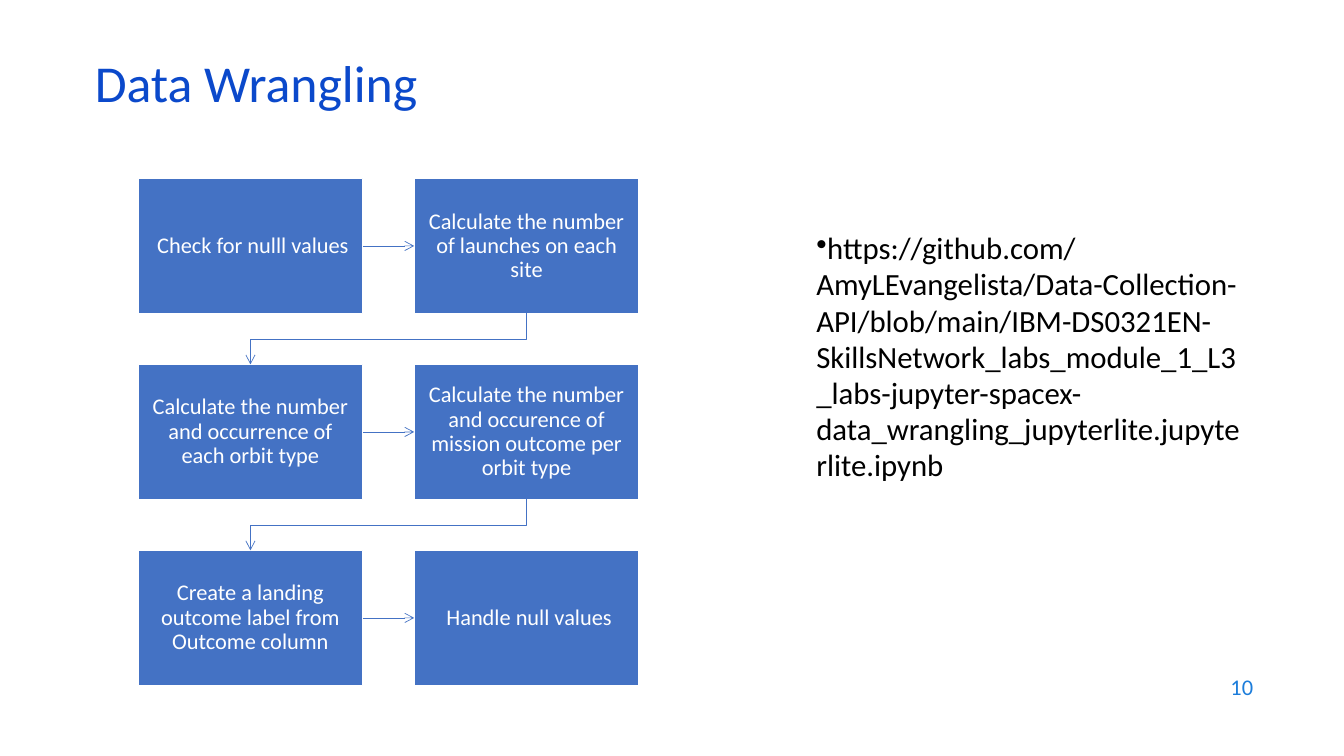
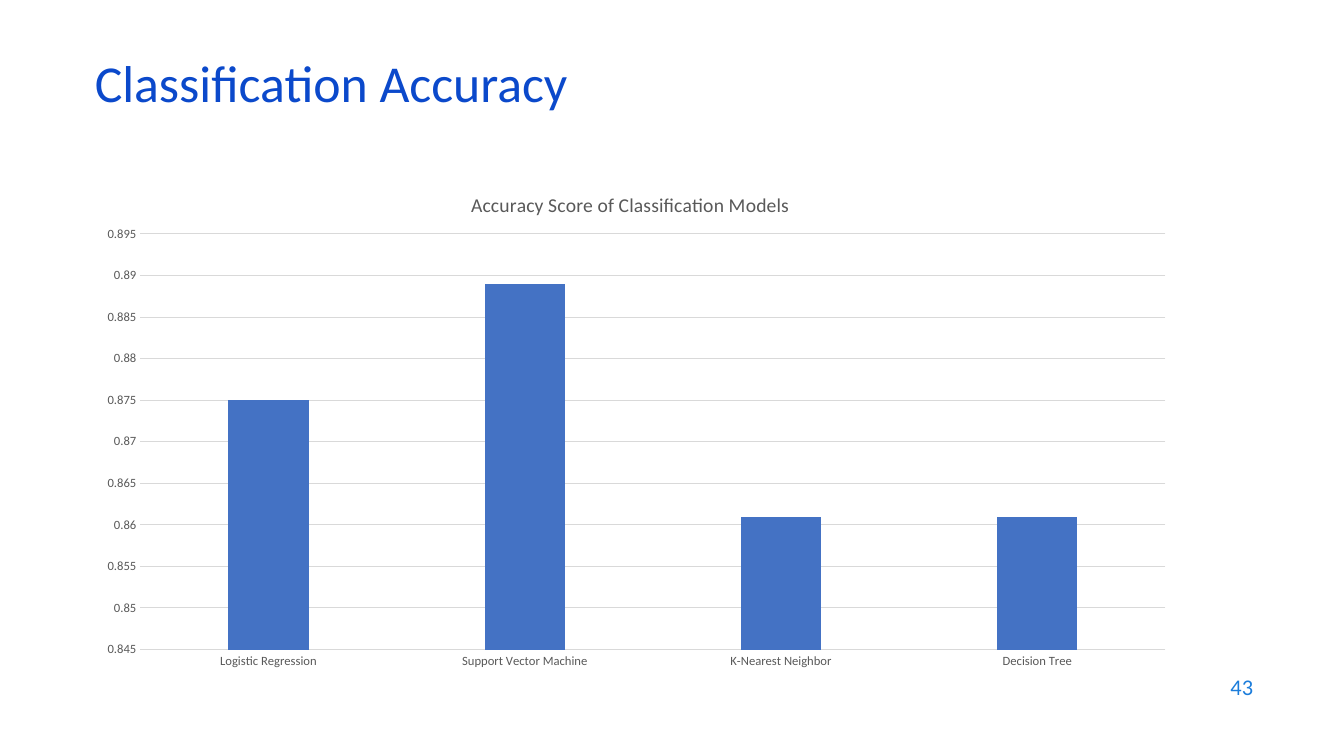
"""Build two slides: a data wrangling flow and a chart of classification accuracy."""
from dataclasses import dataclass
from itertools import pairwise

from lxml import etree
from pptx import Presentation
from pptx import util as u
from pptx.chart.data import CategoryChartData
from pptx.dml.color import RGBColor
from pptx.enum import chart as ch, shapes, text
from pptx.oxml.ns import qn

FONT = "Calibri"
COLORS = {
    "title": "0B49CB",
    "number": "1C7DDB",
    "accent": "4472C4",
    "white": "FFFFFF",
    "black": "000000",
    "label": "595959",
    "grid": "D9D9D9",
}
WIDTH, HEIGHT = u.Inches(13.33), u.Inches(7.5)
COLUMN, ROW = WIDTH / 100, HEIGHT / 100


@dataclass(frozen=True)
class Area:
    column: float
    row: float
    columns: float
    rows: float

    def box(self) -> tuple:
        return (
            u.Emu(round(self.column * COLUMN)),
            u.Emu(round(self.row * ROW)),
            u.Emu(round(self.columns * COLUMN)),
            u.Emu(round(self.rows * ROW)),
        )


@dataclass(frozen=True)
class Style:
    size: float
    color: str
    align: text.PP_ALIGN = text.PP_ALIGN.LEFT
    anchor: text.MSO_ANCHOR = text.MSO_ANCHOR.MIDDLE
    spacing: float = 1.0
    bullet: str = ""


TITLE_AREA = Area(6.3, 7.87, 86.25, 8)
NUMBER_AREA = Area(71.48, 87.87, 22.5, 5.87)
LINK_AREA = Area(60, 29.87, 33.08, 40)
CHART_AREA = Area(6.38, 22.13, 81.15, 67.87)
FIRST_STEP = Area(10.27, 23.6, 16.73, 17.87)
STEP_COLUMNS, STEP_ROWS = 20.55, 24.6
STEPS_ACROSS = 2

TITLE = Style(37, "title", spacing=0.7)
NUMBER = Style(16, "number", text.PP_ALIGN.RIGHT)
LINK = Style(22, "black", anchor=text.MSO_ANCHOR.TOP, spacing=0.98, bullet="•")
STEP = Style(16, "white", text.PP_ALIGN.CENTER, spacing=0.9)

STEPS = (
    " Check for nulll values",
    "Calculate the number of launches on each site",
    "Calculate the number and occurrence of each orbit type",
    "Calculate the number and occurence of mission outcome per orbit type",
    "Create a landing outcome label from Outcome column",
    " Handle null values",
)
NOTEBOOK_LINK = (
    "https://github.com/AmyLEvangelista/Data-Collection-API/blob/main/"
    "IBM-DS0321EN-SkillsNetwork_labs_module_1_L3_labs-jupyter-spacex-"
    "data_wrangling_jupyterlite.jupyterlite.ipynb"
)
ACCURACY = {
    "Logistic Regression": 0.875,
    "Support Vector Machine": 0.889,
    "K-Nearest Neighbor": 0.861,
    "Decision Tree": 0.861,
}


def rgb(name: str) -> RGBColor:
    return RGBColor.from_string(COLORS[name])


def set_font(font, size: float, color: str) -> None:
    font.name, font.size, font.bold = FONT, u.Pt(size), False
    font.color.rgb = rgb(color)


def set_line(line, color: str, points: float) -> None:
    line.color.rgb = rgb(color)
    line.width = u.Pt(points)


def write(frame, words: str, style: Style) -> None:
    frame.word_wrap = True
    frame.auto_size = text.MSO_AUTO_SIZE.NONE
    frame.vertical_anchor = style.anchor
    paragraph = frame.paragraphs[0]
    paragraph.alignment = style.align
    paragraph.line_spacing = style.spacing
    paragraph.space_before = u.Pt(0)
    if style.bullet:
        properties = paragraph._p.get_or_add_pPr()
        properties.set("marL", "0")
        properties.set("indent", "0")
        etree.SubElement(properties, qn("a:buChar"), char=style.bullet)
    run = paragraph.add_run()
    run.text = words
    set_font(run.font, style.size, style.color)


def add_text(slide, area: Area, words: str, style: Style) -> None:
    write(slide.shapes.add_textbox(*area.box()).text_frame, words, style)


def add_titled_slide(deck, heading: str, number: int):
    slide = deck.slides.add_slide(deck.slide_layouts[5])
    title = slide.shapes.title
    title.left, title.top, title.width, title.height = TITLE_AREA.box()
    write(title.text_frame, heading, TITLE)
    add_text(slide, NUMBER_AREA, str(number), NUMBER)
    return slide


def add_step(slide, index: int, words: str):
    row, column = divmod(index, STEPS_ACROSS)
    area = Area(
        FIRST_STEP.column + column * STEP_COLUMNS,
        FIRST_STEP.row + row * STEP_ROWS,
        FIRST_STEP.columns,
        FIRST_STEP.rows,
    )
    step = slide.shapes.add_shape(shapes.MSO_SHAPE.RECTANGLE, *area.box())
    step.shadow.inherit = False
    step.fill.solid()
    step.fill.fore_color.rgb = rgb("accent")
    set_line(step.line, "white", 1)
    frame = step.text_frame
    frame.margin_left = frame.margin_right = u.Inches(0.12)
    frame.margin_top = frame.margin_bottom = u.Inches(0.12)
    write(frame, words, STEP)
    return step


def add_arrow(slide, source, target) -> None:
    same_row = source.top == target.top
    kind = shapes.MSO_CONNECTOR.STRAIGHT if same_row else shapes.MSO_CONNECTOR.ELBOW
    arrow = slide.shapes.add_connector(kind, 0, 0, 0, 0)
    arrow.begin_connect(source, 3 if same_row else 2)
    arrow.end_connect(target, 1 if same_row else 0)
    if not same_row:
        across, down = arrow.width, arrow.height
        middle_x, middle_y = arrow.left + across // 2, arrow.top + down // 2
        arrow.left, arrow.top = middle_x - down // 2, middle_y - across // 2
        arrow.width, arrow.height = down, across
        turn = arrow._element.spPr.find(qn("a:xfrm"))
        turn.attrib.pop("flipH", None)
        turn.set("rot", "5400000")
    set_line(arrow.line, "accent", 0.5)
    etree.SubElement(arrow.line._get_or_add_ln(), qn("a:tailEnd"), type="arrow")
    etree.SubElement(arrow._element.spPr, qn("a:effectLst"))


def place(part, index: int, **shares: float) -> None:
    """Fix a chart part at the given shares of the chart's size."""
    for old in part.findall(qn("c:layout")):
        part.remove(old)
    layout = etree.Element(qn("c:layout"))
    manual = etree.SubElement(layout, qn("c:manualLayout"))
    if "w" in shares:
        etree.SubElement(manual, qn("c:layoutTarget"), val="inner")
    for mode in ("xMode", "yMode"):
        etree.SubElement(manual, qn(f"c:{mode}"), val="edge")
    for side, share in shares.items():
        etree.SubElement(manual, qn(f"c:{side}"), val=str(share))
    part.insert(index, layout)


def add_accuracy_chart(slide) -> None:
    data = CategoryChartData()
    data.categories = list(ACCURACY)
    data.add_series("Series 1", list(ACCURACY.values()))
    chart = slide.shapes.add_chart(
        ch.XL_CHART_TYPE.COLUMN_CLUSTERED, *CHART_AREA.box(), data
    ).chart
    set_font(chart.font, 10, "black")
    chart.has_legend = False

    heading = chart.chart_title.text_frame.paragraphs[0].add_run()
    heading.text = "Accuracy Score of Classification Models"
    set_font(heading.font, 14, "label")
    place(chart.chart_title._element, 1, x=0.35, y=0.04)
    place(chart._chartSpace.chart.plotArea, 0, x=0.05, y=0.13, w=0.94, h=0.81)

    for axis in (chart.category_axis, chart.value_axis):
        axis.major_tick_mark = axis.minor_tick_mark = ch.XL_TICK_MARK.NONE
        set_font(axis.tick_labels.font, 9, "label")
    set_line(chart.category_axis.format.line, "grid", 0.75)
    scores = chart.value_axis
    scores.minimum_scale, scores.maximum_scale = 0.845, 0.895
    scores.major_unit = 0.005
    scores.tick_labels.number_format = "General"
    scores.tick_labels.number_format_is_linked = False
    scores.format.line.fill.background()
    set_line(scores.major_gridlines.format.line, "grid", 0.75)

    plot = chart.plots[0]
    plot.vary_by_categories = False
    plot.gap_width, plot.overlap = 219, -27
    bars = plot.series[0].format.fill
    bars.solid()
    bars.fore_color.rgb = rgb("accent")


def main() -> None:
    deck = Presentation()
    deck.slide_width, deck.slide_height = WIDTH, HEIGHT

    wrangling = add_titled_slide(deck, "Data Wrangling", 10)
    add_text(wrangling, LINK_AREA, NOTEBOOK_LINK, LINK)
    steps = [add_step(wrangling, index, words) for index, words in enumerate(STEPS)]
    for source, target in pairwise(steps):
        add_arrow(wrangling, source, target)

    add_accuracy_chart(add_titled_slide(deck, "Classification Accuracy", 43))
    deck.save("out.pptx")


if __name__ == "__main__":
    main()
